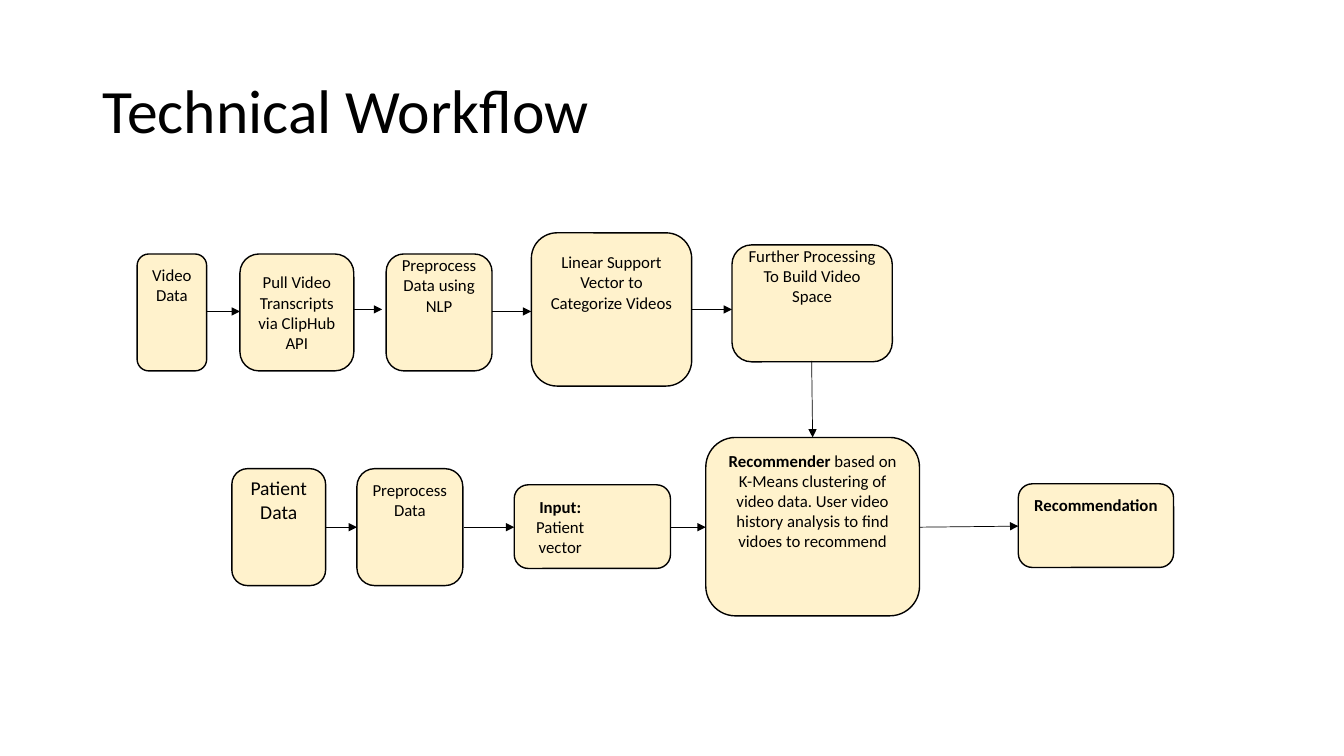
from lxml.etree import SubElement
from pptx import Presentation
from pptx.dml.color import RGBColor
from pptx.enum.shapes import MSO_CONNECTOR, MSO_SHAPE
from pptx.enum.text import MSO_ANCHOR, PP_ALIGN
from pptx.oxml.ns import qn
from pptx.util import Inches, Pt

BLACK = "000000"
CREAM = "FFF2CC"

STEPS = [
    ((1.36, 2.52, 0.69, 1.16), [[("Video Data", False)]], 12, 0.59),
    ((2.38, 2.52, 1.13, 1.16), [[("Pull Video Transcripts via ClipHub API", False)]], 12, 0.05),
    ((3.83, 2.52, 1.05, 1.16), [[("Preprocess Data using NLP", False)]], 12, 0.59),
    ((5.27, 2.31, 1.59, 1.52), [[("Linear Support Vector to Categorize Videos", False)]], 12, 0.59),
    ((7.26, 2.43, 1.59, 1.16),
     [[("Further Processing", False)], [("To Build Video Space", False)]], 12, 0.59),
    ((2.3, 4.65, 0.93, 1.16), [[("Patient Data", False)]], 14, 0.59),
    ((3.54, 4.65, 1.05, 1.16), [[("Preprocess Data", False)]], 12, 0.59),
    ((7, 4.34, 2.12, 1.77),
     [[("Recommender ", True),
       ("based on K-Means clustering of video data. User video history analysis "
        "to find vidoes to recommend", False)]], 12, 0.56),
    ((10.1, 4.8, 1.54, 0.83), [[("Recommendation", True)]], 12, 0.46),
]
PATIENT_INPUT = ((5.1, 4.81, 1.55, 0.83),
                 [[("Input: ", True), ("Patient vector", False)]], 12, 0.05)

ARROWS = [
    (2.05, 3.09, 2.38, 3.09),
    (3.51, 3.07, 3.79, 3.07),
    (4.88, 3.09, 5.27, 3.09),
    (6.86, 3.07, 7.26, 3.07),
    (8.05, 3.58, 8.06, 4.34),
    (3.23, 5.23, 3.54, 5.23),
    (4.6, 5.23, 5.1, 5.23),
    (6.65, 5.23, 7, 5.23),
    (9.12, 5.23, 10.1, 5.22),
]


def color(hex_code):
    return RGBColor.from_string(hex_code)


def style_font(font, size, bold=False):
    font.name = "Calibri"
    font.size = Pt(size)
    font.bold = bold
    font.color.rgb = color(BLACK)


def add_title(slide, title):
    heading = slide.shapes.add_textbox(Inches(0.92), Inches(0.4), Inches(11.5), Inches(1.45))
    frame = heading.text_frame
    frame.word_wrap = True
    frame.vertical_anchor = MSO_ANCHOR.MIDDLE
    frame.text = title
    paragraph = frame.paragraphs[0]
    paragraph.line_spacing = 0.9
    style_font(paragraph.runs[0].font, 44)


def add_step(slide, bounds, paragraphs, size, bottom_inset):
    step = slide.shapes.add_shape(MSO_SHAPE.ROUNDED_RECTANGLE, *map(Inches, bounds))
    step.shadow.inherit = False
    step.fill.solid()
    step.fill.fore_color.rgb = color(CREAM)
    step.line.color.rgb = color(BLACK)
    step.line.width = Pt(1)
    frame = step.text_frame
    frame.word_wrap = True
    frame.vertical_anchor = MSO_ANCHOR.MIDDLE
    frame.margin_bottom = Inches(bottom_inset)
    for index, runs in enumerate(paragraphs):
        paragraph = frame.add_paragraph() if index else frame.paragraphs[0]
        paragraph.alignment = PP_ALIGN.CENTER
        for words, bold in runs:
            run = paragraph.add_run()
            run.text = words
            style_font(run.font, size, bold)
    return step


def add_arrow(slide, points):
    arrow = slide.shapes.add_connector(MSO_CONNECTOR.STRAIGHT, *map(Inches, points))
    arrow.line.color.rgb = color(BLACK)
    arrow.line.width = Pt(0.5)
    SubElement(arrow.line._get_or_add_ln(), qn("a:tailEnd"), type="triangle")
    SubElement(arrow._element.spPr, qn("a:effectLst"))


def main():
    presentation = Presentation()
    presentation.slide_width = Inches(13.33)
    presentation.slide_height = Inches(7.5)
    slide = presentation.slides.add_slide(presentation.slide_layouts[6])
    add_title(slide, "Technical Workflow")
    for step in STEPS:
        add_step(slide, *step)
    patient_input = add_step(slide, *PATIENT_INPUT)
    patient_input.text_frame._txBody.bodyPr.set("numCol", "2")
    for points in ARROWS:
        add_arrow(slide, points)
    presentation.save("out.pptx")


if __name__ == "__main__":
    main()
